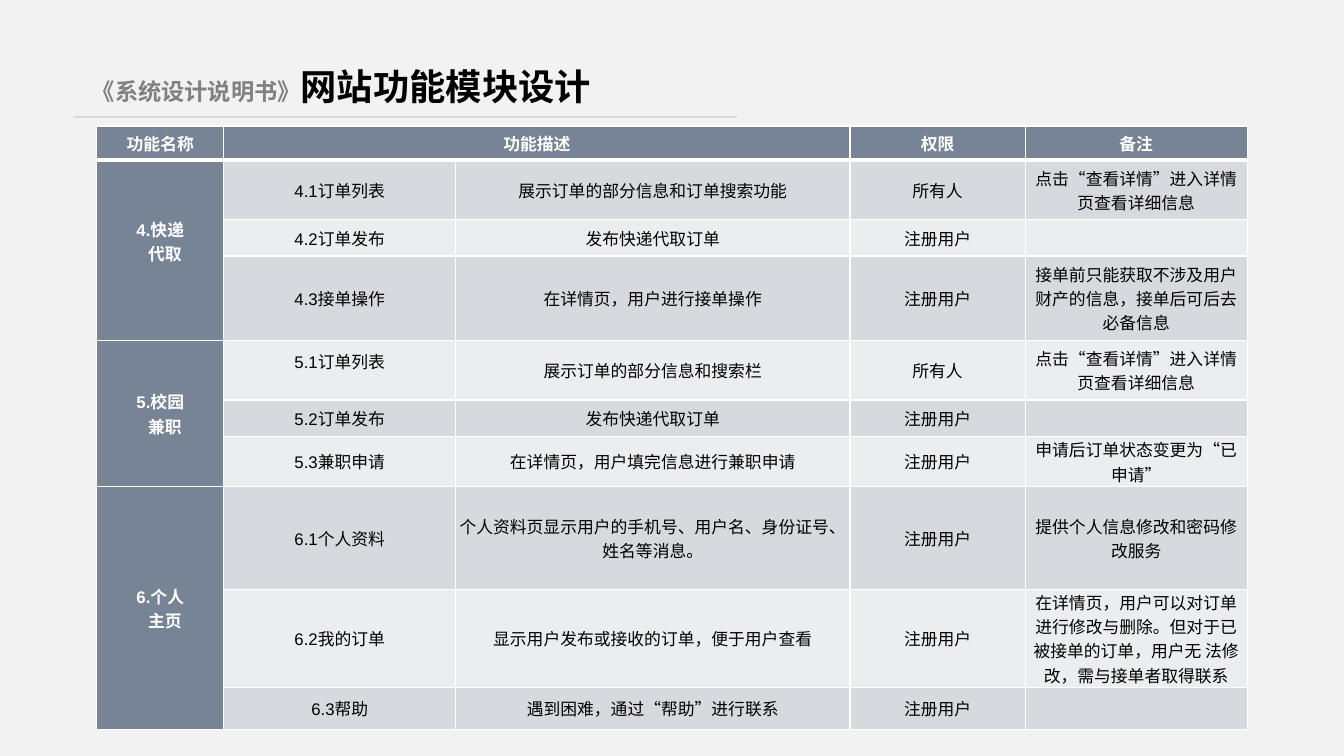
from lxml import etree
from pptx import Presentation
from pptx.dml.color import RGBColor
from pptx.enum.lang import MSO_LANGUAGE_ID as Lang
from pptx.enum.shapes import MSO_CONNECTOR
from pptx.enum.text import MSO_ANCHOR, MSO_AUTO_SIZE, PP_ALIGN
from pptx.oxml import parse_xml
from pptx.oxml.ns import nsdecls, qn
from pptx.util import Inches, Pt

TITLE = [(" ", 25.9, "000000"), ("《系统设计说明书》", 16.6, "808080"),
         ("网站功能模块设计", 25.9, "000000")]
HEADERS = ["功能名称", "功能描述", "", "权限", "备注"]
ALL, MEMBER = "所有人", "注册用户"
DETAILS = "点击“查看详情”进入详情页查看详细信息"
MODULES = [
    (["4.快递", "代取"], [
        ("4.1订单列表", "展示订单的部分信息和订单搜索功能", ALL, DETAILS),
        ("4.2订单发布", "发布快递代取订单", MEMBER, ""),
        ("4.3接单操作", "在详情页，用户进行接单操作", MEMBER,
         "接单前只能获取不涉及用户财产的信息，接单后可后去必备信息"),
    ]),
    (["5.校园", "兼职"], [
        ("5.1订单列表", "展示订单的部分信息和搜索栏", ALL, DETAILS),
        ("5.2订单发布", "发布快递代取订单", MEMBER, ""),
        ("5.3兼职申请", "在详情页，用户填完信息进行兼职申请", MEMBER,
         "申请后订单状态变更为“已申请”"),
    ]),
    (["6.个人", "主页"], [
        ("6.1个人资料", "个人资料页显示用户的手机号、用户名、身份证号、姓名等消息。",
         MEMBER, "提供个人信息修改和密码修改服务"),
        ("6.2我的订单", "显示用户发布或接收的订单，便于用户查看", MEMBER,
         "在详情页，用户可以对订单进行修改与删除。但对于已被接单的订单，"
         "用户无 法修改，需与接单者取得联系"),
        ("6.3帮助", "遇到困难，通过“帮助”进行联系", MEMBER, ""),
    ]),
]
RAISED = {"4.快递", "5.1订单列表"}  # labels sitting half a line above the middle
COLS = [1.26, 2.3, 3.91, 1.74, 2.2]
ROWS = [0.34, 0.59, 0.36, 0.84, 0.59, 0.36, 0.5, 1.02, 0.97, 0.42]
SLATE, WHITE, BLACK = "778495", "FFFFFF", "000000"
BANDS = ["ECEDEF", "D6D9DD"]


def color(hex_):
    return RGBColor.from_string(hex_)


def add_run(p, text, size, hex_, bold):
    r = p.add_run()
    r.text = text
    r.font.name, r.font.size, r.font.bold = "Arial", Pt(size), bold
    r.font.color.rgb = color(hex_)
    r.font.language_id = Lang.SIMPLIFIED_CHINESE


def set_borders(cell, top, bottom):
    """Draw white cell edges; top and bottom widths are in points."""
    tcPr = cell._tc.get_or_add_tcPr()
    widths = {"lnL": 1, "lnR": 1, "lnT": top, "lnB": bottom}
    for i, (tag, width) in enumerate(widths.items()):
        tcPr.insert(i, parse_xml(
            f'<a:{tag} {nsdecls("a")} w="{Pt(width)}"><a:solidFill>'
            f'<a:srgbClr val="{WHITE}"/></a:solidFill></a:{tag}>'))


def fill_cell(cell, lines, fill, hex_, bold):
    cell.fill.solid()
    cell.fill.fore_color.rgb = color(fill)
    cell.vertical_anchor = MSO_ANCHOR.MIDDLE
    cell.margin_left = cell.margin_right = Inches(0.03)
    cell.margin_top = 0
    cell.margin_bottom = Inches(0.19 if lines[0] in RAISED else 0)
    tf = cell.text_frame
    for i, line in enumerate(lines):
        p = tf.add_paragraph() if i else tf.paragraphs[0]
        p.alignment = PP_ALIGN.CENTER
        if i:
            p._p.get_or_add_pPr().set("marL", str(Inches(0.09)))
        add_run(p, line, 12, hex_, bold)


prs = Presentation()
prs.slide_width, prs.slide_height = Inches(13.33), Inches(7.5)
s = prs.slides.add_slide(prs.slide_layouts[5])
s.background.fill.solid()
s.background.fill.fore_color.rgb = color("F2F2F2")

title = s.shapes.title
title.left, title.top = Inches(0.73), Inches(0.3)
title.width, title.height = Inches(5.32), Inches(0.83)
tf = title.text_frame
tf.auto_size, tf.vertical_anchor = MSO_AUTO_SIZE.NONE, MSO_ANCHOR.BOTTOM
p = tf.paragraphs[0]
p.alignment, p.line_spacing = PP_ALIGN.LEFT, 0.9
for text, size, hex_ in TITLE:
    add_run(p, text, size, hex_, True)

rule = s.shapes.add_connector(MSO_CONNECTOR.STRAIGHT, Inches(0.73), Inches(1.16),
                              Inches(7.31), Inches(1.16))
rule.line.color.rgb, rule.line.width = color("D9D9D9"), Pt(1.5)
etree.SubElement(rule._element.spPr, qn("a:effectLst"))

table = s.shapes.add_table(len(ROWS), len(COLS), Inches(0.96), Inches(1.25),
                           Inches(sum(COLS)), Inches(sum(ROWS))).table
for col, width in zip(table.columns, COLS):
    col.width = Inches(width)
for row, height in zip(table.rows, ROWS):
    row.height = Inches(height)

for c, header in enumerate(HEADERS):
    fill_cell(table.cell(0, c), [header], SLATE, WHITE, True)
table.cell(0, 1).merge(table.cell(0, 2))

row = 1
for name, functions in MODULES:
    first = row
    for function in functions:
        name_lines = name if row == first else [""]
        fill_cell(table.cell(row, 0), name_lines, SLATE, WHITE, True)
        for c, text in enumerate(function, 1):
            fill_cell(table.cell(row, c), [text], BANDS[row % 2], BLACK, False)
        row += 1
    table.cell(first, 0).merge(table.cell(row - 1, 0))

for r in range(len(ROWS)):
    for c in range(len(COLS)):
        set_borders(table.cell(r, c), 3 if r == 1 else 1, 3 if r == 0 else 1)

prs.save("out.pptx")
